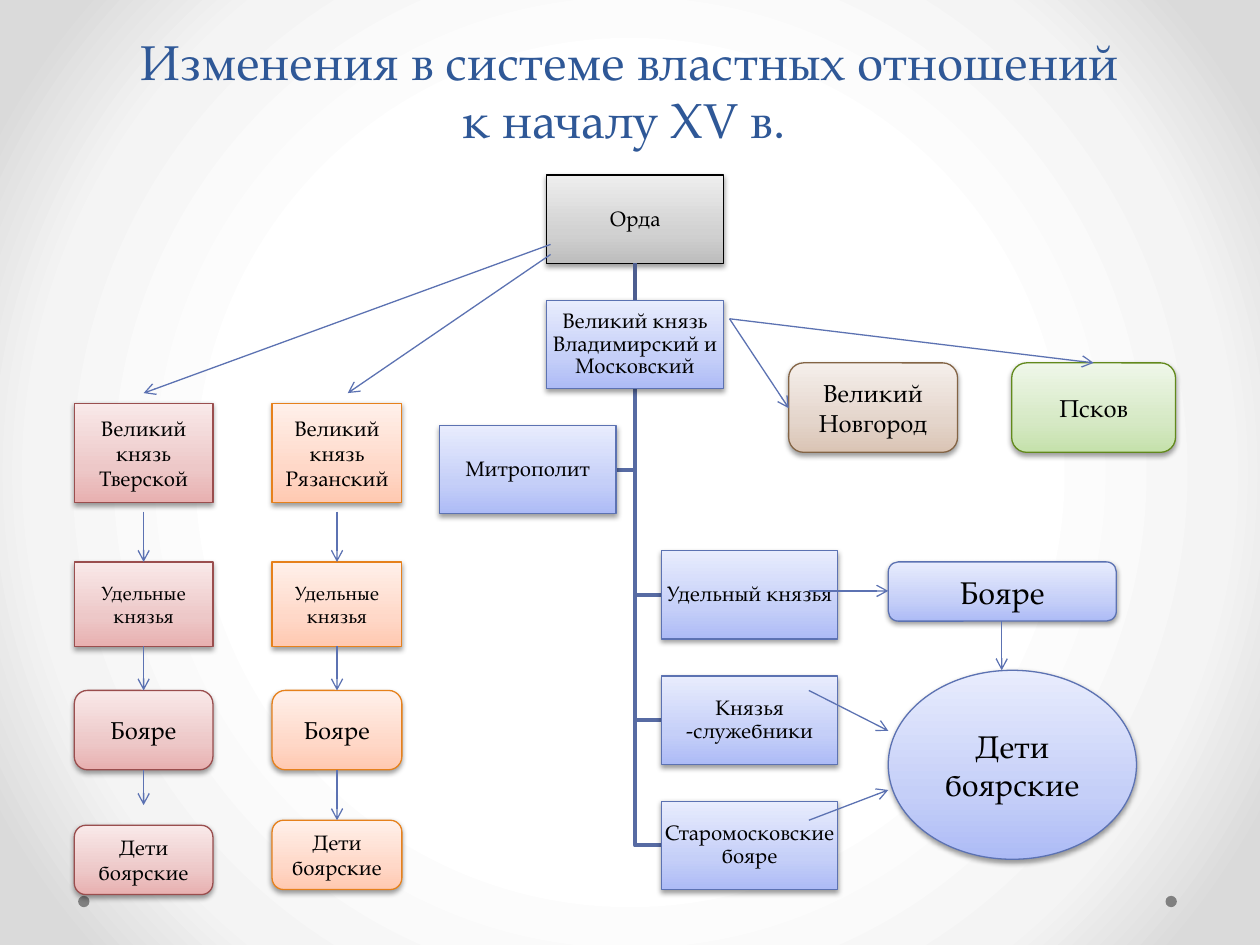
from lxml import etree
from pptx import Presentation
from pptx.dml.color import RGBColor
from pptx.enum.shapes import MSO_CONNECTOR, MSO_SHAPE
from pptx.enum.text import MSO_ANCHOR, PP_ALIGN
from pptx.oxml.ns import qn
from pptx.util import Inches, Pt

RECT, ROUND, OVAL = MSO_SHAPE.RECTANGLE, MSO_SHAPE.ROUNDED_RECTANGLE, MSO_SHAPE.OVAL
STRAIGHT = MSO_CONNECTOR.STRAIGHT
CENTER, MIDDLE, BOTTOM = PP_ALIGN.CENTER, MSO_ANCHOR.MIDDLE, MSO_ANCHOR.BOTTOM

THEME = {
    "font": "TeX Gyre Pagella",
    "title": "2F5897",
    "dot": "808080",
    "text": "000000",
    "arrow": "5C72B2",
    "branch": "576BA3",
    "stem": "4D5E90",
    "sizes": {"title": 28, "large": 18, "medium": 14, "normal": 12, "small": 11},
    "backdrop": [(50, "FFFFFF"), (76, "F4F4F4"), (92, "DADADA")],
    # Outline, then fill colours from bottom to top
    "gray": ("000000", "BDBDBD", "D1D1D1", "EEEEEE"),
    "blue": ("5C72B2", "ADBBF6", "C5CFF8", "E8ECFD"),
    "red": ("9A4E4E", "E8B0B0", "EDC8C8", "F9E9E9"),
    "orange": ("E6811C", "FFC9B1", "FFD8C8", "FFF0EA"),
    "brown": ("836445", "DAC4B4", "E4D5CB", "F5EFEB"),
    "green": ("62891C", "C5E1AB", "D6E9C5", "EFF7E9"),
}


def color(name):
    return RGBColor.from_string(name)


def set_gradient(parent, stops, direction):
    """Give the gradient fill found inside parent new stops and a new direction."""
    gradient = next(parent.iter(qn("a:gradFill")))
    for child in list(gradient):
        gradient.remove(child)
    stop_list = etree.SubElement(gradient, qn("a:gsLst"))
    for position, value in stops:
        stop = etree.SubElement(stop_list, qn("a:gs"), pos=str(position * 1000))
        etree.SubElement(stop, qn("a:srgbClr"), val=value)
    if direction == "circle":
        shade = etree.SubElement(gradient, qn("a:path"), path="circle")
        etree.SubElement(shade, qn("a:fillToRect"), l="50000", t="50000", r="50000", b="50000")
    else:
        etree.SubElement(gradient, qn("a:lin"), ang=str(direction * 60000), scaled="0")


deck = Presentation()
deck.slide_width, deck.slide_height = Inches(10), Inches(7.5)
page = deck.slides.add_slide(deck.slide_layouts[6])
page.background.fill.gradient()
set_gradient(page.background._cSld, THEME["backdrop"], "circle")

for left in (0.62, 9.25):
    dot = page.shapes.add_shape(OVAL, Inches(left), Inches(7.11), Inches(0.09), Inches(0.09))
    dot.shadow.inherit = False
    dot.fill.solid()
    dot.fill.fore_color.rgb = color(THEME["dot"])
    dot.line.fill.background()

# Title
box = page.shapes.add_textbox(Inches(0.5), Inches(0.36), Inches(9), Inches(0.87))
box.text_frame.word_wrap = True
box.text_frame.vertical_anchor = BOTTOM
para = box.text_frame.paragraphs[0]
para.alignment = CENTER
para.add_run().text = "Изменения в системе властных отношений"
para.add_line_break()
para.add_run().text = "к началу XV в. "
for span in para.runs:
    span.font.name = THEME["font"]
    span.font.size = Pt(THEME["sizes"]["title"])
    span.font.color.rgb = color(THEME["title"])

# Central hierarchy: six evenly spaced rows hanging from one trunk
ORG_WIDTH, ORG_HEIGHT, TRUNK = 1.4, 0.7, 5.04
row_tops = [1.39 + (6.36 - 1.39) / 5 * row for row in range(6)]
org_boxes = [
    ("Орда", 4.34, "gray"),
    ("Великий князь Владимирский и Московский", 4.34, "blue"),
    ("Митрополит", 3.49, "blue"),
    ("Удельный князья", 5.25, "blue"),
    ("Князья -служебники", 5.25, "blue"),
    ("Старомосковские бояре", 5.25, "blue"),
]
trunk_top = row_tops[1] + ORG_HEIGHT
for top, branch_end in zip(row_tops[2:], (4.89, 5.25, 5.25, 5.25)):
    middle = top + ORG_HEIGHT / 2
    builder = page.shapes.build_freeform(Inches(TRUNK), Inches(trunk_top))
    builder.add_line_segments(
        [(Inches(TRUNK), Inches(middle)), (Inches(branch_end), Inches(middle))], close=False)
    branch = builder.convert_to_shape()
    branch.shadow.inherit = False
    branch.fill.background()
    branch.line.color.rgb = color(THEME["branch"])
    branch.line.width = Pt(2.25)

# Boxes: text, preset, left, top, width, height, palette, text size
boxes = [(text, RECT, left, top, ORG_WIDTH, ORG_HEIGHT, palette, "normal")
         for (text, left, palette), top in zip(org_boxes, row_tops)]
boxes += [
    ("Бояре", ROUND, 7.05, 4.46, 1.81, 0.47, "blue", "large"),
    ("Дети боярские", OVAL, 7.05, 5.32, 1.97, 1.5, "blue", "large"),
    ("Великий Новгород", ROUND, 6.26, 2.88, 1.34, 0.71, "brown", "medium"),
    ("Псков", ROUND, 8.03, 2.88, 1.3, 0.71, "green", "medium"),
]

# Arrows: start x, start y, end x, end y
arrows = [
    (6.42, 4.69, 7.05, 4.69),
    (7.95, 4.93, 7.95, 5.32),
    (6.42, 5.48, 7.05, 5.8),
    (6.42, 6.51, 7.05, 6.27),
    (4.37, 1.94, 1.14, 3.12),
    (4.37, 2.02, 2.76, 3.12),
    (5.79, 2.53, 8.68, 2.88),
    (5.79, 2.53, 6.26, 3.24),
]

# The two principalities on the left
for prince, left, width, palette, last_top, last_tip in (
    ("Великий князь Тверской", 0.59, 1.1, "red", 6.55, 6.39),
    ("Великий князь Рязанский", 2.16, 1.03, "orange", 6.51, 6.51),
):
    for text, preset, top, height, size in (
        (prince, RECT, 3.2, 0.79, "normal"),
        ("Удельные князья", RECT, 4.46, 0.67, "small"),
        ("Бояре", ROUND, 5.48, 0.63, "medium"),
        ("Дети боярские", ROUND, last_top, 0.55, "normal"),
    ):
        boxes.append((text, preset, left, top, width, height, palette, size))
    center = left + width / 2
    for start, end in ((4.06, 4.46), (5.13, 5.48), (6.11, last_tip)):
        arrows.append((center, start, center, end))

for index, (text, preset, left, top, width, height, palette, size) in enumerate(boxes):
    outline, *shades = THEME[palette]
    box = page.shapes.add_shape(preset, Inches(left), Inches(top), Inches(width), Inches(height))
    box.fill.gradient()
    set_gradient(box._element.spPr, zip((0, 35, 100), shades), 270)
    box.line.color.rgb = color(outline)
    box.line.width = Pt(0.75)
    box.shadow.inherit = False
    effects = box._element.spPr.find(qn("a:effectLst"))
    shadow = etree.SubElement(effects, qn("a:outerShdw"), blurRad=str(Pt(3.1)),
                              dist=str(Pt(1.6)), dir="5400000", rotWithShape="0")
    shade = etree.SubElement(shadow, qn("a:srgbClr"), val="000000")
    etree.SubElement(shade, qn("a:alpha"), val="38000")

    frame_format = {"word_wrap": True, "vertical_anchor": MIDDLE}
    para = box.text_frame.paragraphs[0]
    if index < len(org_boxes):
        para.line_spacing = 0.9
        for side in ("left", "right", "top", "bottom"):
            frame_format[f"margin_{side}"] = Inches(0.01)
    for name, value in frame_format.items():
        setattr(box.text_frame, name, value)
    para.alignment = CENTER
    span = para.add_run()
    span.text = text
    span.font.name = THEME["font"]
    span.font.size = Pt(THEME["sizes"][size])
    span.font.color.rgb = color(THEME["text"])

lines = [(TRUNK, row_tops[0] + ORG_HEIGHT, TRUNK, row_tops[1], "stem", 2.25)]
lines += [(*arrow, "arrow", 0.75) for arrow in arrows]
for *ends, kind, weight in lines:
    line = page.shapes.add_connector(STRAIGHT, *(Inches(value) for value in ends))
    line.line.color.rgb = color(THEME[kind])
    line.line.width = Pt(weight)
    if kind == "arrow":
        etree.SubElement(line.line._get_or_add_ln(), qn("a:tailEnd"), type="arrow")
    etree.SubElement(line._element.spPr, qn("a:effectLst"))

deck.save("out.pptx")
